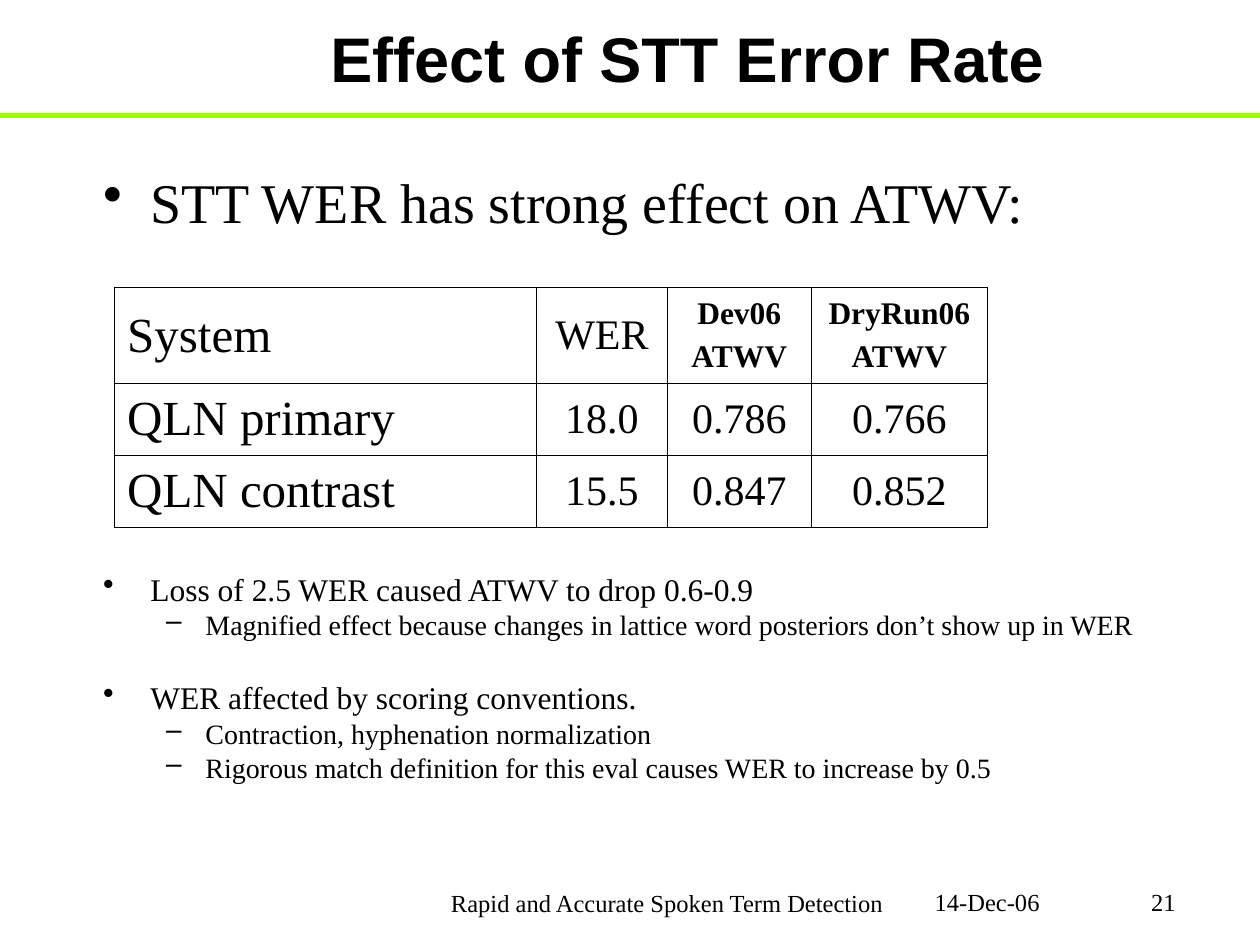
import lxml.etree
import pptx
import pptx.dml.color
import pptx.enum.shapes
import pptx.enum.text
import pptx.oxml.ns
import pptx.util

Pt = pptx.util.Pt
ALIGN = pptx.enum.text.PP_ALIGN
MIDDLE = pptx.enum.text.MSO_ANCHOR.MIDDLE
SERIF = "Times New Roman"
BLACK = "000000"
LEVELS = [("•", 27, -27), ("–", 58.5, -22.5)]


def color(value):
    """Turn a hex string into a colour."""
    return pptx.dml.color.RGBColor.from_string(value)


def apply(target, formats):
    """Set each attribute named in a dict of format values."""
    for name, value in formats.items():
        setattr(target, name, value)


def add_xml(parent, tag, **attributes):
    """Append a drawing element to its parent."""
    return lxml.etree.SubElement(parent, pptx.oxml.ns.qn(tag), attributes)


def write(paragraph, text, size, face=SERIF, bold=False, **formats):
    """Fill a paragraph with formatted text."""
    paragraph.text = text
    apply(paragraph, formats)
    apply(paragraph.font, {"size": Pt(size), "name": face, "bold": bold})
    paragraph.font.color.rgb = color(BLACK)


def add_bullet(paragraph, level):
    """Give a paragraph the bullet and indent of its level."""
    mark, margin, indent = LEVELS[level]
    properties = paragraph._p.get_or_add_pPr()
    properties.set("marL", str(Pt(margin)))
    properties.set("indent", str(Pt(indent)))
    add_xml(add_xml(properties, "a:buClr"), "a:srgbClr", val=BLACK)
    add_xml(properties, "a:buChar", char=mark)
    paragraph.level = level


def add_frame(slide, box):
    """Add a wrapping text box and return its text frame."""
    frame = slide.shapes.add_textbox(*map(Pt, box)).text_frame
    frame.word_wrap = True
    return frame


def add_title(slide, box, text):
    """Place the slide title."""
    title = slide.shapes.title
    apply(title, dict(zip(("left", "top", "width", "height"), map(Pt, box))))
    apply(title.text_frame, {
        "vertical_anchor": MIDDLE,
        "word_wrap": True,
        "auto_size": pptx.enum.text.MSO_AUTO_SIZE.NONE,
    })
    write(title.text_frame.paragraphs[0], text, 36, "Arial", True, alignment=ALIGN.CENTER)


def add_rule(slide, box):
    """Draw the green rule under the title."""
    left, top, width, height = box
    rule = slide.shapes.add_connector(
        pptx.enum.shapes.MSO_CONNECTOR.STRAIGHT,
        Pt(left + width), Pt(top + height), Pt(left), Pt(top))
    rule.line.color.rgb = color("9BFF00")
    rule.line.width = Pt(3)
    add_xml(rule._element.spPr, "a:effectLst")


def add_bullets(slide, box, items, line_spacing=1.0, top_inset=3.6):
    """Write bulleted items given as text, level, size and space before."""
    frame = add_frame(slide, box)
    frame.margin_top = Pt(top_inset)
    for index, (text, level, size, space) in enumerate(items):
        paragraph = frame.add_paragraph() if index else frame.paragraphs[0]
        add_bullet(paragraph, level)
        write(paragraph, text, size, line_spacing=line_spacing, space_before=Pt(space))


def add_borders(cell):
    """Outline a cell in thin black."""
    properties = cell._tc.get_or_add_tcPr()
    for position, side in enumerate(("a:lnL", "a:lnR", "a:lnT", "a:lnB")):
        border = add_xml(properties, side, w=str(Pt(0.45)))
        add_xml(add_xml(border, "a:solidFill"), "a:srgbClr", val=BLACK)
        properties.insert(position, border)


def add_results(slide, box, widths, heights, rows):
    """Build the table of error rates and term values."""
    table = slide.shapes.add_table(len(rows), len(widths), *map(Pt, box)).table
    apply(table, {"first_row": False, "horz_banding": False})
    for column, width in zip(table.columns, widths):
        column.width = Pt(width)
    for row, height in zip(table.rows, heights):
        row.height = Pt(height)
    for row_index, values in enumerate(rows):
        for column_index, value in enumerate(values):
            cell = table.cell(row_index, column_index)
            cell.vertical_anchor = MIDDLE
            cell.fill.background()
            add_borders(cell)
            lines = value.split("\n")
            heading = len(lines) > 1
            size = 18 if heading else 24 if column_index else 28
            align = ALIGN.CENTER if column_index else ALIGN.LEFT
            for index, line in enumerate(lines):
                frame = cell.text_frame
                paragraph = frame.add_paragraph() if index else frame.paragraphs[0]
                write(paragraph, line, size, bold=heading, alignment=align,
                      space_before=Pt(4.5 if index else 0))


def add_footer(slide, box, text, align):
    """Write one footer entry."""
    write(add_frame(slide, box).paragraphs[0], text, 14, alignment=align)


def main():
    """Build and save the slide."""
    deck = pptx.Presentation()
    apply(deck, {"slide_width": Pt(720), "slide_height": Pt(540)})
    slide = deck.slides.add_slide(deck.slide_layouts[5])
    add_rule(slide, (0, 66, 720, 0))
    add_title(slide, (77.76, 0, 630, 66), "Effect of STT Error Rate")
    add_bullets(slide, (51.84, 326.16, 638.64, 154), [
        ("Loss of 2.5 WER caused ATWV to drop 0.6-0.9", 0, 18, 0),
        ("Magnified effect because changes in lattice word posteriors don’t show up in WER", 1, 16, 4),
        ("WER affected by scoring conventions.", 0, 18, 25.5),
        ("Contraction, hyphenation normalization", 1, 16, 4),
        ("Rigorous match definition for this eval causes WER to increase by 0.5", 1, 16, 4),
    ], line_spacing=0.8)
    add_results(
        slide, (65.5, 164.16, 499, 137),
        (241.2, 74.5, 82.5, 100.5), (55, 41, 41), [
            ("System", "WER", "Dev06\nATWV", "DryRun06\nATWV"),
            ("QLN primary", "18.0", "0.786", "0.766"),
            ("QLN contrast", "15.5", "0.847", "0.852"),
        ])
    add_bullets(slide, (51.84, 88.56, 638.64, 58.32),
                [("STT WER has strong effect on ATWV:", 0, 32, 0)], top_inset=7)
    add_footer(slide, (246.24, 504, 270, 36),
               "Rapid and Accurate Spoken Term Detection", ALIGN.CENTER)
    add_footer(slide, (642.96, 503.28, 36, 36), "21", ALIGN.RIGHT)
    add_footer(slide, (527.04, 503.28, 90.72, 36), "14-Dec-06", ALIGN.LEFT)
    deck.save("out.pptx")


if __name__ == "__main__":
    main()
